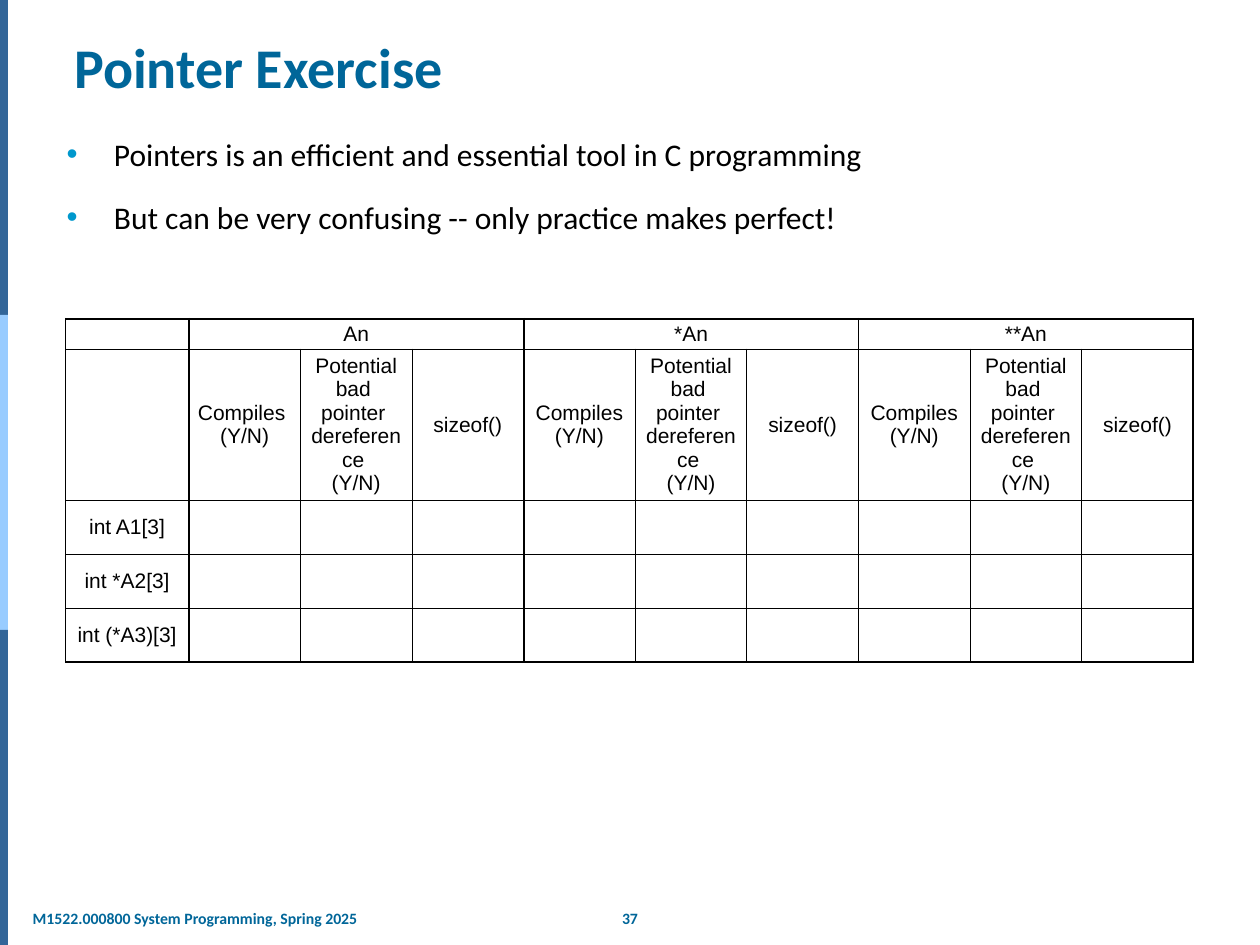
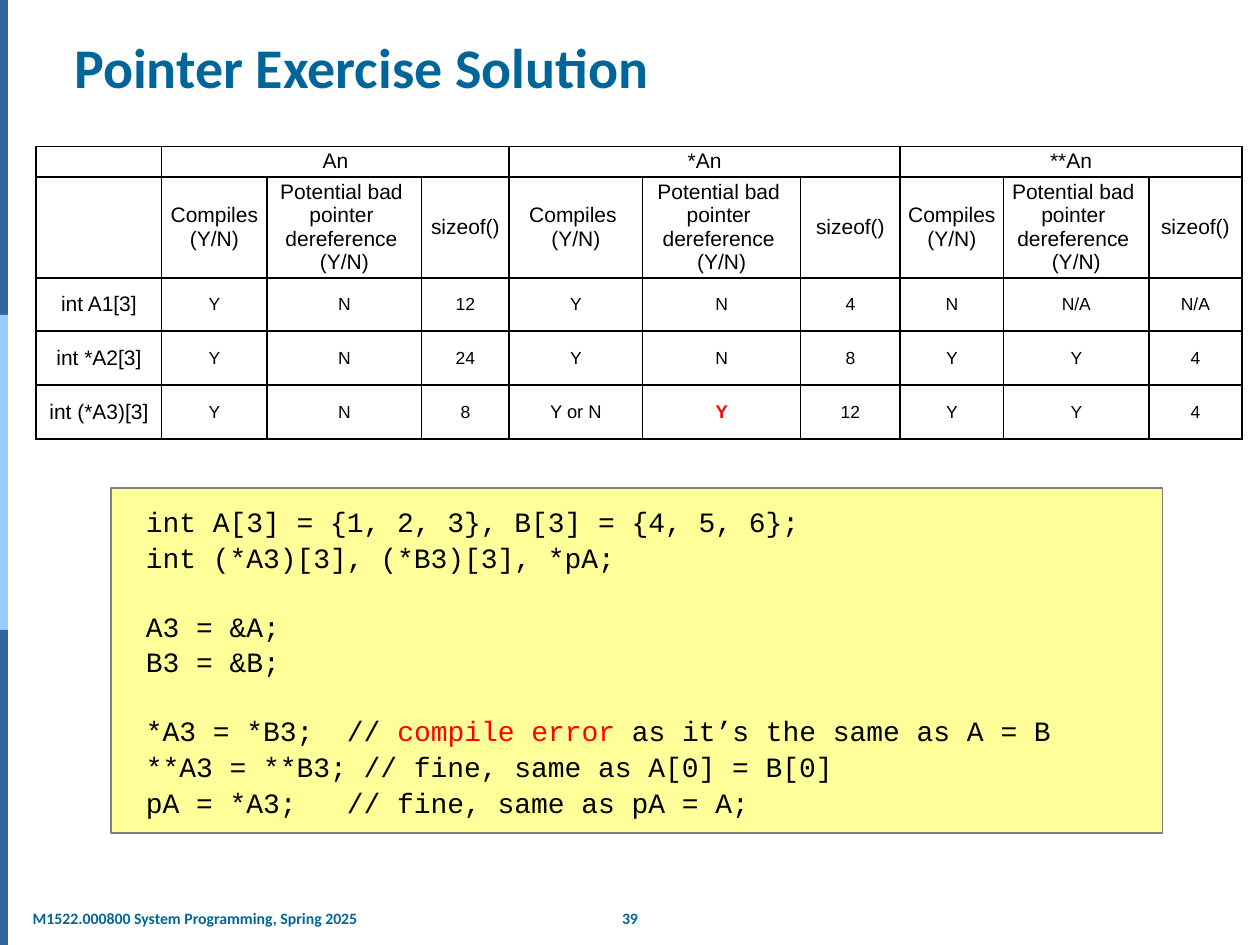
from lxml import etree
from pptx import Presentation
from pptx import util as u
from pptx.dml import color as dml
from pptx.enum import shapes, text
from pptx.oxml import ns

BLUE, LIGHT_BLUE, TITLE_BLUE, BULLET_BLUE = "336699", "99CCFF", "006699", "0098CD"
BLACK, RED, YELLOW, GRAY = "000000", "FF0000", "FFFF99", "808080"
THIN, THICK = u.Pt(0.5), u.Pt(1.25)


def rgb(value):
    return dml.RGBColor.from_string(value)


def add_run(paragraph, words, font, size, color=BLACK, bold=False):
    run = paragraph.add_run()
    run.text = words
    run.font.name = font
    run.font.size = u.Pt(size)
    run.font.bold = bold
    run.font.color.rgb = rgb(color)


presentation = Presentation()
presentation.slide_width = u.Pt(720)
presentation.slide_height = u.Pt(540)

two_lines = "Compiles \n(Y/N)"
one_line = "Compiles (Y/N)"
bad_pointer = "Potential bad \npointer \ndereference \n(Y/N)"
group_names = ["An", "*An", "**An"]
declarations = ["int A1[3]", "int *A2[3]", "int (*A3)[3]"]
row_heights = [17.28, 30.8, 30.8, 30.8, 30.8]

# Thick lines are numbered from the left edge and from the top edge of the table.
pages = [
    {"title": "Pointer Exercise", "number": "37",
     "left": 37.4, "top": 182.2, "widths": [70.5] + [63.8] * 9,
     "thick_columns": {1, 4, 7, 10}, "thick_rows": {0, 5},
     "compiles": [two_lines, one_line, one_line],
     "answers": [[""] * 9] * 3},
    {"title": "Pointer Exercise Solution", "number": "39",
     "left": 20.7, "top": 83.7,
     "widths": [71.7, 60.3, 88.3, 50, 76.3, 90.3, 56.9, 59.1, 83.1, 53.1],
     "thick_columns": {0, 2, 4, 7, 9, 10}, "thick_rows": set(range(6)),
     "compiles": [two_lines, two_lines, one_line],
     "answers": [["Y", "N", "12", "Y", "N", "4", "N", "N/A", "N/A"],
                 ["Y", "N", "24", "Y", "N", "8", "Y", "Y", "4"],
                 ["Y", "N", "8", "Y or N", "Y", "12", "Y", "Y", "4"]]},
]

slides = []
for page in pages:
    slide = presentation.slides.add_slide(presentation.slide_layouts[6])
    slides.append(slide)

    # Side band
    for index, color in enumerate([BLUE, LIGHT_BLUE, BLUE]):
        band = slide.shapes.add_shape(shapes.MSO_SHAPE.RECTANGLE, u.Pt(0), u.Pt(180 * index),
                                      u.Pt(4.5), u.Pt(180))
        band.shadow.inherit = False
        band.fill.solid()
        band.fill.fore_color.rgb = rgb(color)
        band.line.fill.background()

    # Title and footers
    for words, left, top, width, height, inset, size, align, wrap in [
        (page["title"], 35.3, 15.1, 648, 42.5, 7.2, 32, text.PP_ALIGN.LEFT, True),
        ("M1522.000800 System Programming, Spring 2025",
         14.4, 515.5, 195.8, 18, 4.3, 9, text.PP_ALIGN.LEFT, False),
        (page["number"], 347, 515.5, 26, 18, 7.2, 9, text.PP_ALIGN.CENTER, False),
    ]:
        box = slide.shapes.add_textbox(u.Pt(left), u.Pt(top), u.Pt(width), u.Pt(height))
        frame = box.text_frame
        frame.word_wrap = wrap
        frame.margin_left = frame.margin_right = u.Pt(inset)
        frame.paragraphs[0].alignment = align
        add_run(frame.paragraphs[0], words, "Calibri", size, TITLE_BLUE, True)

    # Exercise table
    headings = [""]
    for compiles in page["compiles"]:
        headings += [compiles, bad_pointer, "sizeof()"]
    rows = [[""] * 10, headings]
    rows += [[name] + answers for name, answers in zip(declarations, page["answers"])]
    for group, name in enumerate(group_names):
        rows[0][1 + 3 * group] = name

    table = slide.shapes.add_table(5, 10, u.Pt(page["left"]), u.Pt(page["top"]),
                                   u.Pt(sum(page["widths"])), u.Pt(sum(row_heights))).table
    table.first_row = table.horz_banding = False
    for column, width in zip(table.columns, page["widths"]):
        column.width = u.Pt(width)
    for row, height in zip(table.rows, row_heights):
        row.height = u.Pt(height)
    for first in (1, 4, 7):
        table.cell(0, first).merge(table.cell(0, first + 2))

    for row, values in enumerate(rows):
        for column, value in enumerate(values):
            cell = table.cell(row, column)
            cell.margin_left = cell.margin_right = u.Pt(4.3)
            cell.margin_top = cell.margin_bottom = u.Pt(0)
            cell.vertical_anchor = text.MSO_ANCHOR.MIDDLE

            left, right = column, column + 1
            if row == 0 and column > 0:
                left = column - (column - 1) % 3
                right = left + 3
            for side, is_thick in [("L", left in page["thick_columns"]),
                                   ("R", right in page["thick_columns"]),
                                   ("T", row in page["thick_rows"]),
                                   ("B", row + 1 in page["thick_rows"])]:
                border = etree.SubElement(cell._tc.get_or_add_tcPr(), ns.qn("a:ln" + side),
                                          w=str(THICK if is_thick else THIN))
                fill = etree.SubElement(border, ns.qn("a:solidFill"))
                etree.SubElement(fill, ns.qn("a:srgbClr"), val=BLACK)
            cell.fill.background()

            is_answer = row > 1 and column > 0
            is_key_answer = value == "Y" and (row, column) == (4, 5)
            size = 10 if is_answer else 12
            if value == "Y or N" or is_key_answer:
                size = 10.5
            for index, words in enumerate(value.split("\n")):
                frame = cell.text_frame
                paragraph = frame.add_paragraph() if index else frame.paragraphs[0]
                paragraph.alignment = text.PP_ALIGN.CENTER
                if words:
                    add_run(paragraph, words, "Arial", size,
                            RED if is_key_answer else BLACK, is_key_answer)
                else:
                    etree.SubElement(paragraph._p, ns.qn("a:endParaRPr"), sz="1200")

# Bullets of the exercise
body = slides[0].shapes.add_textbox(u.Pt(31), u.Pt(62.6), u.Pt(648.7), u.Pt(110))
body.text_frame.word_wrap = True
for index, words in enumerate(["Pointers is an efficient and essential tool in C programming",
                               "But can be very confusing -- only practice makes perfect!"]):
    frame = body.text_frame
    paragraph = frame.add_paragraph() if index else frame.paragraphs[0]
    paragraph.line_spacing = 1.5
    paragraph.space_before = u.Pt(3.6 * index)
    properties = paragraph._p.get_or_add_pPr()
    properties.set("marL", str(u.Pt(27)))
    properties.set("indent", str(u.Pt(-27)))
    bullet_color = etree.SubElement(properties, ns.qn("a:buClr"))
    etree.SubElement(bullet_color, ns.qn("a:srgbClr"), val=BULLET_BLUE)
    etree.SubElement(properties, ns.qn("a:buFont"), typeface="Arial")
    etree.SubElement(properties, ns.qn("a:buChar"), char="•")
    add_run(paragraph, words, "Calibri", 18)

# Code of the solution: blocks are set apart by one line
code_blocks = [
    [[("int A[3] = {1, 2, 3}, B[3] = {4, 5, 6};", BLACK)],
     [("int (*A3)[3], (*B3)[3], *pA;", BLACK)]],
    [[("A3 = &A;", BLACK)],
     [("B3 = &B;", BLACK)]],
    [[("*A3 = *B3;  // ", BLACK), ("compile error ", RED),
      ("as it’s the same as A = B", BLACK)],
     [("**A3 = **B3; // fine, same as A[0] = B[0]", BLACK)],
     [("pA = *A3;   // fine, same as pA = A;", BLACK)]],
]
code_box = slides[1].shapes.add_shape(shapes.MSO_SHAPE.RECTANGLE, u.Pt(63.4), u.Pt(278.8),
                                      u.Pt(601), u.Pt(197.4))
code_box.shadow.inherit = False
code_box.fill.solid()
code_box.fill.fore_color.rgb = rgb(YELLOW)
code_box.line.color.rgb = rgb(GRAY)
code_box.line.width = u.Pt(1)
frame = code_box.text_frame
frame.word_wrap = True
frame.vertical_anchor = text.MSO_ANCHOR.MIDDLE
frame.margin_left = frame.margin_right = u.Pt(20)
frame.margin_top = frame.margin_bottom = u.Pt(11.5)
for block_index, block in enumerate(code_blocks):
    for line_index, line in enumerate(block):
        is_first = block_index == line_index == 0
        paragraph = frame.paragraphs[0] if is_first else frame.add_paragraph()
        paragraph.alignment = text.PP_ALIGN.LEFT
        paragraph.line_spacing = 1.06
        if block_index and line_index == 0:
            paragraph.space_before = u.Pt(19.2)
        for words, color in line:
            add_run(paragraph, words, "Courier New", 16, color)

presentation.save("out.pptx")
